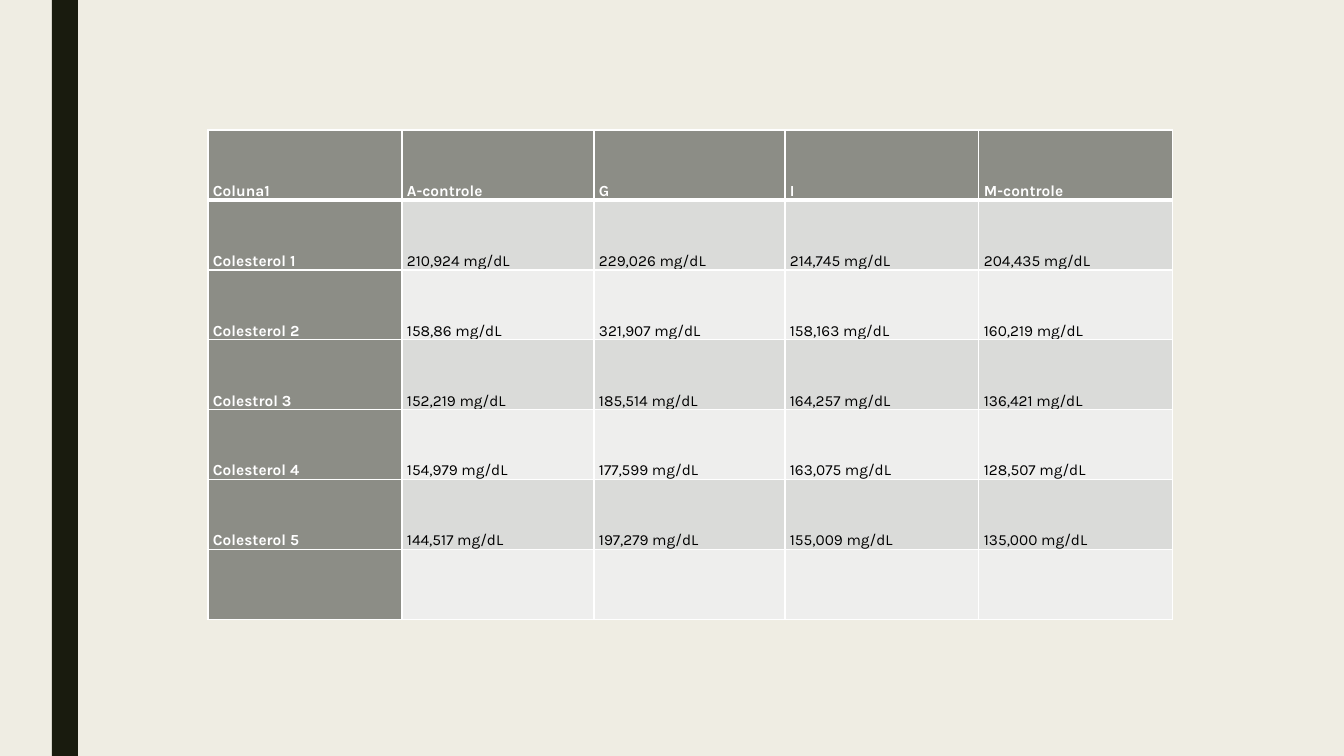
"""Build a slide with a table of cholesterol readings beside a dark vertical bar."""
from lxml import etree
from pptx import Presentation
from pptx.dml.color import RGBColor
from pptx.enum.shapes import MSO_SHAPE
from pptx.enum.text import MSO_ANCHOR
from pptx.oxml.ns import qn
from pptx.util import Emu, Pt

RECT = MSO_SHAPE.RECTANGLE
BOTTOM = MSO_ANCHOR.BOTTOM
SCALE = 914400 / 100.8
COLORS = {
    "background": "EFEDE3", "bar": "191B0E", "header": "8C8D86",
    "odd": "DADBD9", "even": "EEEEED", "white": "FFFFFF", "black": "000000",
}
COL_WIDTHS = [194, 192, 191, 194, 194]
ROW_HEIGHT = 70
ROWS = [
    ["Coluna1", "A-controle", "G", "I", "M-controle"],
    ["Colesterol 1", "210,924 mg/dL", "229,026 mg/dL", "214,745 mg/dL", "204,435 mg/dL"],
    ["Colesterol 2", "158,86 mg/dL", "321,907 mg/dL", "158,163 mg/dL", "160,219 mg/dL"],
    ["Colestrol 3", "152,219 mg/dL", "185,514 mg/dL", "164,257 mg/dL", "136,421 mg/dL"],
    ["Colesterol 4", "154,979 mg/dL", "177,599 mg/dL", "163,075 mg/dL", "128,507 mg/dL"],
    ["Colesterol 5", "144,517 mg/dL", "197,279 mg/dL", "155,009 mg/dL", "135,000 mg/dL"],
    [""] * 5,
]


def px(n):
    return Emu(round(n * SCALE))


def rgb(name):
    return RGBColor.from_string(COLORS[name])


prs = Presentation()
prs.slide_width, prs.slide_height = px(1344), px(756)
s = prs.slides.add_slide(prs.slide_layouts[6])
s.background.fill.solid()
s.background.fill.fore_color.rgb = rgb("background")

bar = s.shapes.add_shape(RECT, px(52), px(0), px(26), px(756))
bar.shadow.inherit = False
bar.fill.solid()
bar.fill.fore_color.rgb = rgb("bar")
bar.line.fill.background()

table = s.shapes.add_table(
    len(ROWS), len(COL_WIDTHS), px(208), px(130),
    px(sum(COL_WIDTHS)), px(ROW_HEIGHT * len(ROWS))).table
for column, width in zip(table.columns, COL_WIDTHS):
    column.width = px(width)

for i, values in enumerate(ROWS):
    table.rows[i].height = px(ROW_HEIGHT)
    for j, value in enumerate(values):
        cell = table.cell(i, j)
        heading = i == 0 or j == 0
        tcPr = cell._tc.get_or_add_tcPr()
        for side in "LRTB":
            if i == 1 and side == "T":
                continue
            width = 3 if i == 0 and side == "B" else 1
            ln = etree.SubElement(tcPr, qn(f"a:ln{side}"), w=str(Pt(width)))
            fill = etree.SubElement(ln, qn("a:solidFill"))
            etree.SubElement(fill, qn("a:srgbClr"), val=COLORS["white"])
        cell.fill.solid()
        cell.fill.fore_color.rgb = rgb("header" if heading else "odd" if i % 2 else "even")
        if not value:
            continue
        cell.vertical_anchor = BOTTOM
        cell.margin_left = cell.margin_right = px(5)
        cell.margin_top = cell.margin_bottom = 0
        p = cell.text_frame.paragraphs[0]
        p.line_spacing = 1.07
        p.space_after = Pt(8)
        r = p.add_run()
        r.text = value
        r.font.name = "Karla"
        r.font.size = Pt(11)
        r.font.bold = heading
        r.font.color.rgb = rgb("white" if heading else "black")

prs.save("out.pptx")
